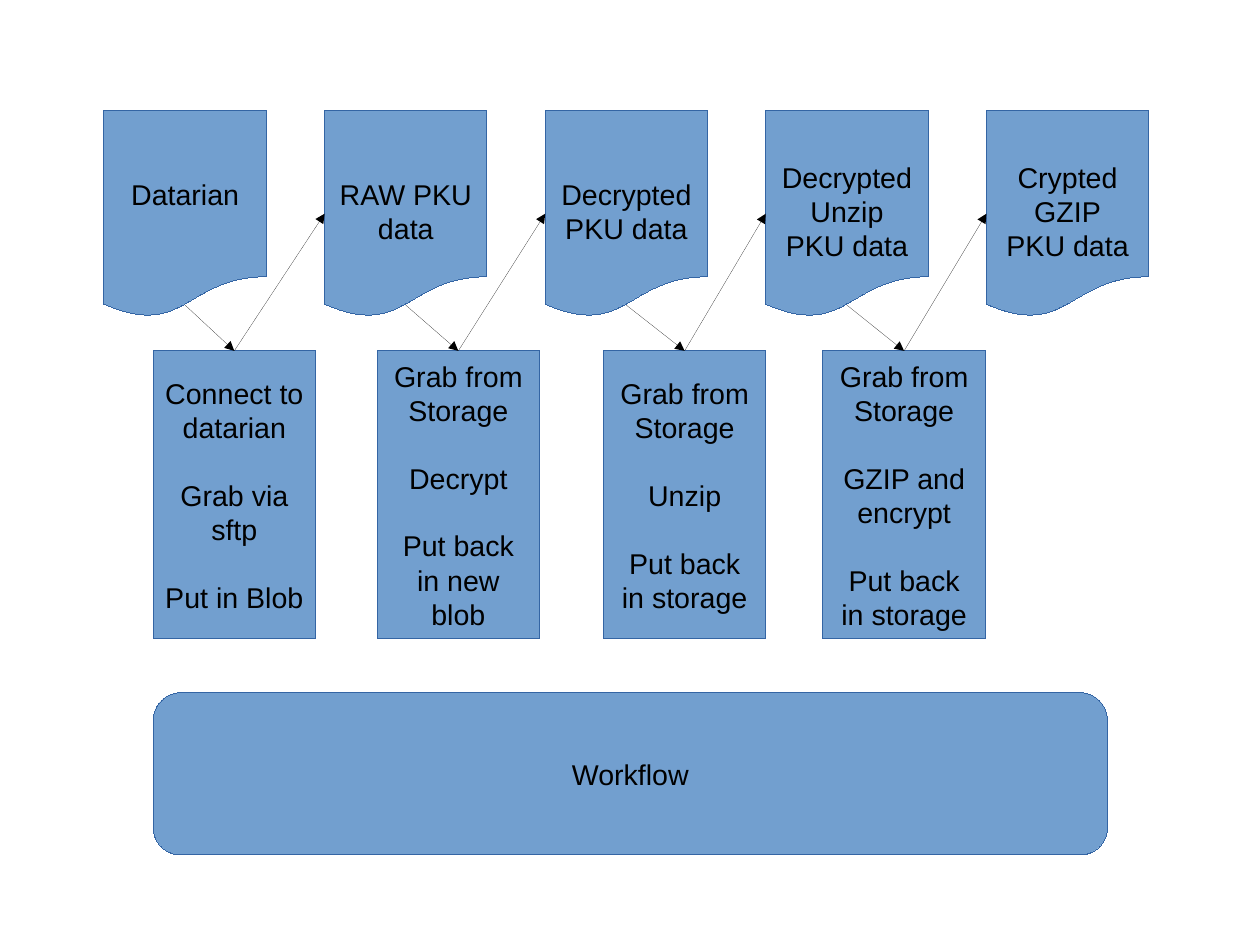
from pptx import Presentation
from pptx.dml.color import RGBColor as Rgb
from pptx.enum.shapes import MSO_CONNECTOR as Link, MSO_SHAPE as Kind
from pptx.enum.text import MSO_ANCHOR as Anchor, PP_ALIGN as Align
from pptx.oxml.ns import qn
from pptx.util import Inches, Pt
from lxml.etree import SubElement as Sub

HUES = {"fill": "729FCF", "edge": "3465A4", "ink": "000000"}
CM = 2.54
WIDE = 1.42
DOC_X, DOC_Y, DOC_H, DOC_GAP = 0.91, 0.97, 1.81, 1.93
STEP_Y, STEP_H = 3.07, 2.52
DOCS = [
    ["Datarian"],
    ["RAW PKU data"],
    ["Decrypted PKU data"],
    ["Decrypted Unzip", "PKU data"],
    ["Crypted", "GZIP", "PKU data"],
]
STEPS = [
    (1.34, ["Connect to datarian", "Grab via sftp", "Put in Blob"]),
    (3.3, ["Grab from Storage", "Decrypt", "Put back in new blob"]),
    (5.28, ["Grab from Storage", "Unzip", "Put back in storage"]),
    (7.2, ["Grab from Storage", "GZIP and encrypt", "Put back in storage"]),
]


class Board:
    def __init__(self, slide, font="Arial", size=18):
        self.slide, self.font, self.size = slide, font, size

    def hue(self, name):
        return Rgb.from_string(HUES[name])

    def edge(self, shape, name):
        shape.line.color.rgb = self.hue(name)
        shape.line.width = Pt(0)
        node = shape._element
        node.remove(node.find(qn("p:style")))

    def box(self, kind, x, y, w, h, lines, gap=0, top=0.05):
        shape = self.slide.shapes.add_shape(
            kind, Inches(x), Inches(y), Inches(w), Inches(h))
        shape.shadow.inherit = False
        shape.fill.solid()
        shape.fill.fore_color.rgb = self.hue("fill")
        self.edge(shape, "edge")
        frame = shape.text_frame
        frame.word_wrap = True
        frame.vertical_anchor = Anchor.MIDDLE
        frame.margin_top = Inches(top)
        frame.text = "\n".join(lines)
        for n, para in enumerate(frame.paragraphs):
            para.alignment = Align.CENTER
            para.space_before = Pt(gap if n else 0)
            for run in para.runs:
                run.font.name = self.font
                run.font.size = Pt(self.size)
                run.font.color.rgb = self.hue("ink")
        return shape

    def arrow(self, start, end):
        ends = [Inches(v) for v in (*start, *end)]
        line = self.slide.shapes.add_connector(Link.STRAIGHT, *ends)
        self.edge(line, "ink")
        props = line._element.spPr
        Sub(props.find(qn("a:ln")), qn("a:tailEnd"), type="triangle")
        Sub(props, qn("a:effectLst"))


def main():
    deck = Presentation()
    deck.slide_width = Inches(28 / CM)
    deck.slide_height = Inches(21 / CM)
    board = Board(deck.slides.add_slide(deck.slide_layouts[6]))

    bar = board.box(Kind.ROUNDED_RECTANGLE, 1.34, 6.06, 8.35, WIDE, ["Workflow"])
    bar.adjustments[0] = 0.17

    for n, lines in enumerate(DOCS):
        board.box(Kind.FLOWCHART_DOCUMENT, DOC_X + n * DOC_GAP, DOC_Y,
                  WIDE, DOC_H, lines, top=0.35 if n else 0.05)

    for n, (x, lines) in enumerate(STEPS):
        board.box(Kind.RECTANGLE, x, STEP_Y, WIDE, STEP_H, lines, gap=21)
        left = DOC_X + n * DOC_GAP
        peak = (x + WIDE / 2, STEP_Y)
        board.arrow((left + WIDE / 2, 2.67), peak)
        board.arrow(peak, (left + DOC_GAP, 1.87))

    deck.save("out.pptx")


if __name__ == "__main__":
    main()
